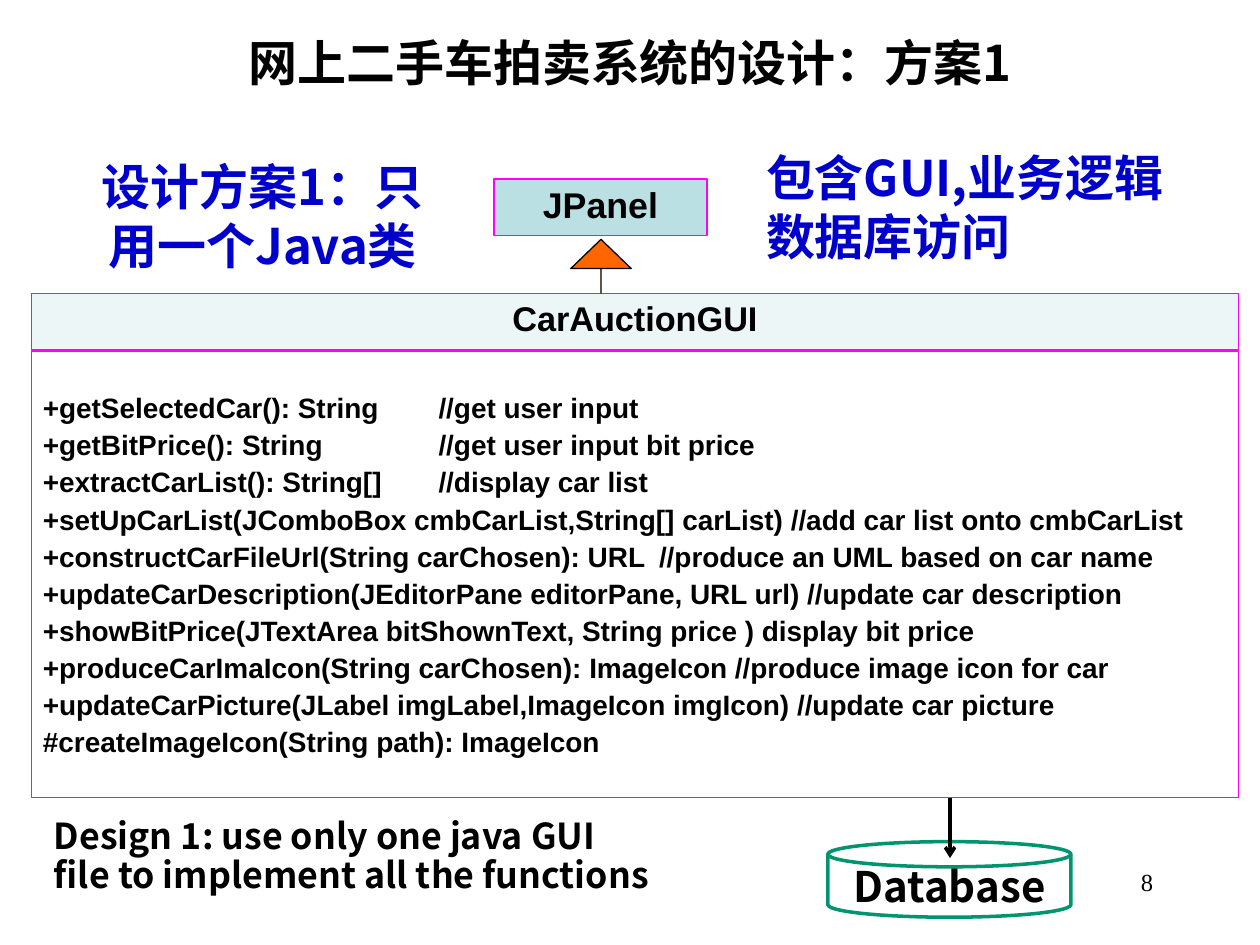
from dataclasses import dataclass

from lxml.etree import SubElement
from pptx import Presentation
from pptx.dml.color import RGBColor
from pptx.enum.shapes import MSO_CONNECTOR, MSO_SHAPE
from pptx.enum.text import MSO_ANCHOR, PP_ALIGN
from pptx.oxml.ns import qn
from pptx.util import Inches, Pt


@dataclass(frozen=True)
class Theme:
    black: str = "000000"
    white: str = "FFFFFF"
    blue: str = "0000CC"
    magenta: str = "FF00FF"
    teal: str = "BBE0E3"
    orange: str = "FF6600"
    green: str = "00956F"
    code_font: str = "Arial"
    heading_font: str = "Noto Sans CJK SC"
    number_font: str = "Times New Roman"
    heading: float = 28
    database: float = 24
    class_name: float = 20.4
    subclass_name: float = 19.6
    note: float = 20.4
    method: float = 16
    number: float = 14


TITLE = "网上二手车拍卖系统的设计：方案1"
# Signature, comment and the tab stop (inches) where the comment starts
METHODS = [
    ("+getSelectedCar(): String", "//get user input", 3.14),
    ("+getBitPrice(): String", "//get user input bit price", 3.14),
    ("+extractCarList(): String[]", "//display car list", 3.14),
    ("+setUpCarList(JComboBox cmbCarList,String[] carList) //add car list onto cmbCarList", "", None),
    ("+constructCarFileUrl(String carChosen): URL", "//produce an UML based on car name", 4.89),
    ("+updateCarDescription(JEditorPane editorPane, URL url) //update car description", "", None),
    ("+showBitPrice(JTextArea bitShownText, String price ) display bit price", "", None),
    ("+produceCarImaIcon(String carChosen): ImageIcon //produce image icon for car", "", None),
    ("+updateCarPicture(JLabel imgLabel,ImageIcon imgIcon) //update car picture", "", None),
    ("#createImageIcon(String path): ImageIcon", "", None),
]
WIDE_INSETS = (0.1, 0.05)
CLASS_INSETS = (0.09, 0.04)
NO_INSETS = (0, 0)


class SlideBuilder:
    def __init__(self, slide, theme):
        self.slide = slide
        self.theme = theme

    def fill_text(self, holder, lines, size, font=None, color=None, bold=True,
                  align=PP_ALIGN.CENTER, anchor=MSO_ANCHOR.MIDDLE, insets=WIDE_INSETS,
                  spacing=None, before=0, tab_stops=()):
        """Fill a shape or text box, one paragraph per line."""
        frame = holder.text_frame
        side, edge = map(Inches, insets)
        frame_format = {"word_wrap": True, "vertical_anchor": anchor,
                        "margin_left": side, "margin_right": side,
                        "margin_top": edge, "margin_bottom": edge}
        for name, value in frame_format.items():
            setattr(frame, name, value)
        font = font or self.theme.heading_font
        for index, line in enumerate(lines):
            paragraph = frame.paragraphs[0] if index == 0 else frame.add_paragraph()
            paragraph.text = line
            paragraph_format = {"alignment": align, "line_spacing": spacing,
                                "space_before": Pt(before if index else 0)}
            for name, value in paragraph_format.items():
                setattr(paragraph, name, value)
            if index < len(tab_stops) and tab_stops[index]:
                self.add_tab(paragraph, tab_stops[index])
            for run in paragraph.runs:
                run_format = {"size": Pt(size), "bold": bold, "name": font}
                for name, value in run_format.items():
                    setattr(run.font, name, value)
                run.font.color.rgb = RGBColor.from_string(color or self.theme.black)
                SubElement(run._r.get_or_add_rPr(), qn("a:ea"), typeface=font)

    def add_tab(self, paragraph, position):
        stops = SubElement(paragraph._p.get_or_add_pPr(), qn("a:tabLst"))
        SubElement(stops, qn("a:tab"), pos=str(int(Inches(position))), algn="l")

    def text(self, place, lines, size, **style):
        box = self.slide.shapes.add_textbox(*map(Inches, place))
        self.fill_text(box, lines, size, **style)

    def shape(self, kind, place, fill, line, width=1, opacity=None):
        shape = self.slide.shapes.add_shape(kind, *map(Inches, place))
        shape.shadow.inherit = False
        if fill:
            shape.fill.solid()
            shape.fill.fore_color.rgb = RGBColor.from_string(fill)
        else:
            shape.fill.background()
        if opacity:
            fill_color = shape._element.spPr.find(qn("a:solidFill"))[0]
            SubElement(fill_color, qn("a:alpha"), val=str(opacity * 1000))
        shape.line.color.rgb = RGBColor.from_string(line)
        shape.line.width = Pt(width)
        return shape

    def class_part(self, place, lines, size, fill=None, opacity=None, **style):
        """One compartment of a UML class."""
        part = self.shape(MSO_SHAPE.RECTANGLE, place, fill, self.theme.magenta,
                          opacity=opacity)
        self.fill_text(part, lines, size, font=self.theme.code_font,
                       insets=CLASS_INSETS, **style)

    def arrow(self, start, end, width):
        arrow = self.slide.shapes.add_connector(
            MSO_CONNECTOR.STRAIGHT, *map(Inches, start + end))
        arrow.line.color.rgb = RGBColor.from_string(self.theme.black)
        arrow.line.width = Pt(width)
        properties = arrow._element.spPr
        SubElement(properties.find(qn("a:ln")), qn("a:tailEnd"), type="arrow")
        SubElement(properties, qn("a:effectLst"))


def main():
    deck = Presentation()
    deck.slide_width, deck.slide_height = Inches(10), Inches(7.5)
    theme = Theme()
    builder = SlideBuilder(deck.slides.add_slide(deck.slide_layouts[6]), theme)

    builder.text((7.17, 6.83, 2.08, 0.5), ["8"], theme.number, font=theme.number_font,
                 bold=False, align=PP_ALIGN.RIGHT, anchor=MSO_ANCHOR.TOP)

    builder.class_part((0.25, 2.33, 9.58, 0.45), ["CarAuctionGUI"], theme.subclass_name,
                       fill=theme.teal, opacity=27, spacing=0.8)
    method_lines = [f"{signature}\t{comment}" if comment else signature
                    for signature, comment, _ in METHODS]
    builder.class_part((0.25, 2.79, 9.58, 3.54), method_lines, theme.method,
                       align=PP_ALIGN.JUSTIFY, before=2,
                       tab_stops=[stop for _, _, stop in METHODS])
    builder.class_part((3.92, 1.42, 1.69, 0.45), ["JPanel"], theme.class_name,
                       fill=theme.teal, spacing=0.9)
    inheritance = builder.shape(MSO_SHAPE.UP_ARROW, (4.53, 1.9, 0.48, 0.43),
                                theme.orange, theme.black, width=0.75)
    inheritance.adjustments[0] = 0
    inheritance.adjustments[1] = 0.54

    builder.text((0.33, 6.5, 5.67, 0.67),
                 ["Design 1: use only one java GUI", "file to implement all the functions"],
                 theme.note, align=PP_ALIGN.LEFT, anchor=MSO_ANCHOR.TOP,
                 spacing=0.7, before=5.5)
    builder.text((0.5, 1, 3.17, 1.42), ["设计方案1：只\v用一个Java类"], theme.heading,
                 color=theme.blue, insets=NO_INSETS)
    builder.text((0.75, 0.08, 8.5, 0.83), [TITLE], theme.heading)
    builder.text((6.08, 0.93, 3.42, 1.42), ["包含GUI,业务逻辑", "数据库访问"], theme.heading,
                 color=theme.blue, align=PP_ALIGN.LEFT, insets=NO_INSETS)

    database = builder.shape(MSO_SHAPE.FLOWCHART_MAGNETIC_DISK, (6.57, 6.68, 1.93, 0.6),
                             theme.white, theme.green, width=2)
    builder.fill_text(database, ["Database"], theme.database)
    builder.arrow((7.54, 6.33), (7.54, 6.81), 2)

    deck.save("out.pptx")


if __name__ == "__main__":
    main()
